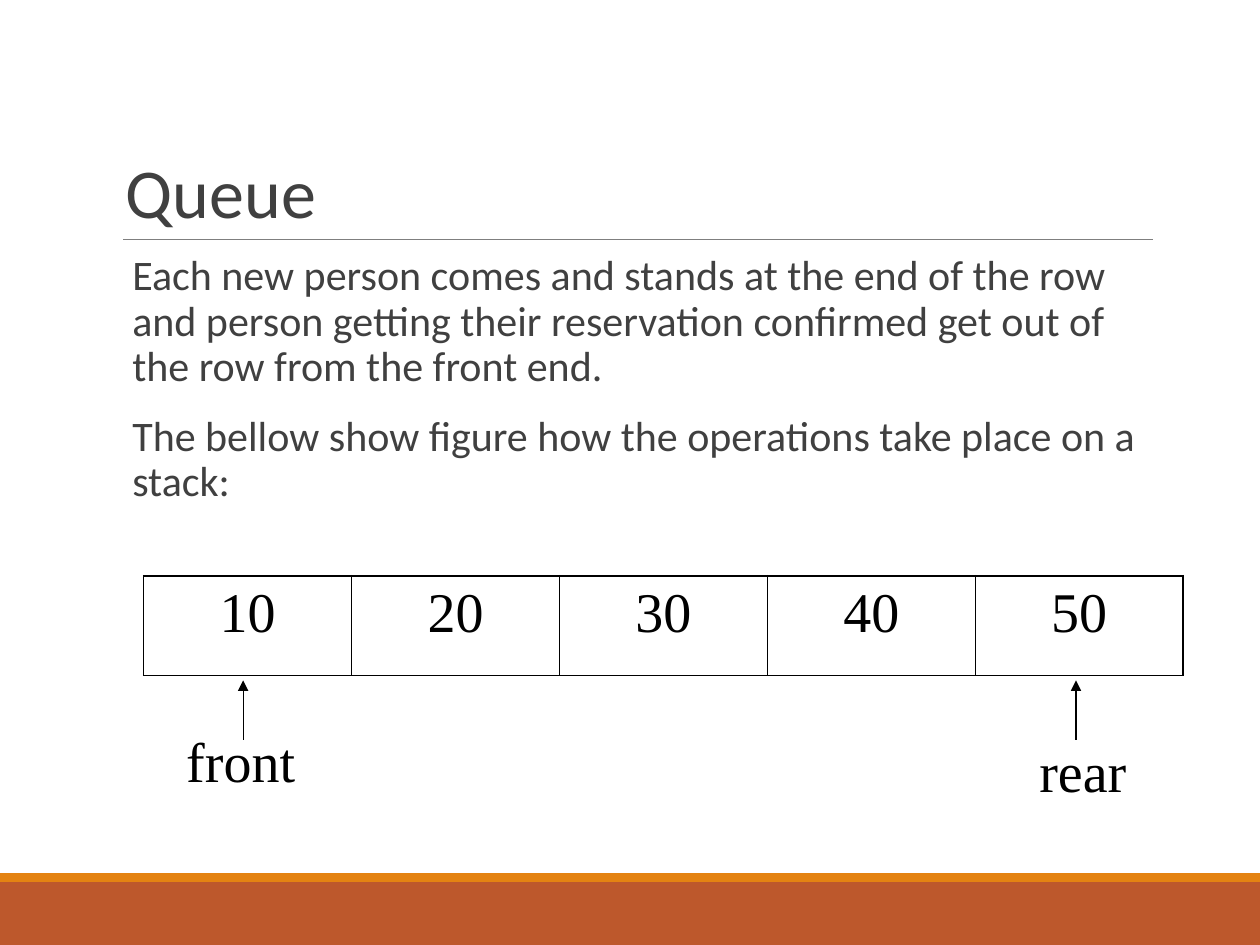
import pptx
import pptx.dml.color
import pptx.enum.shapes
import pptx.enum.text
import pptx.oxml.ns
import pptx.util
from lxml import etree

COLORS = {"band": "BD582C", "stripe": "E48312", "rule": "7F7F7F",
          "text": "404040", "ink": "000000"}
ALIGN = pptx.enum.text.PP_ALIGN
ANCHOR = pptx.enum.text.MSO_ANCHOR
Pt = pptx.util.Pt
qn = pptx.oxml.ns.qn


def color(name):
    return pptx.dml.color.RGBColor.from_string(COLORS[name])


class QueueSlide:
    """Draws on a grid of 100 columns by 75 rows."""
    HEADING = {"name": "Calibri", "size": Pt(40), "color": "text"}
    BODY = {"name": "Calibri", "size": Pt(24), "color": "text"}
    FIGURE = {"name": "Times New Roman", "size": Pt(32), "color": "ink"}
    COLUMNS, ROWS = 100, 75

    def __init__(self, deck):
        self.column = deck.slide_width / self.COLUMNS
        self.row = deck.slide_height / self.ROWS
        self.slide = deck.slides.add_slide(deck.slide_layouts[6])

    def x(self, columns):
        return round(columns * self.column)

    def y(self, rows):
        return round(rows * self.row)

    def box(self, left, top, width, height):
        return self.x(left), self.y(top), self.x(width), self.y(height)

    def fill_text(self, frame, paragraphs, font, layout):
        frame.text = "\n".join(paragraphs)
        for paragraph in frame.paragraphs:
            for key, value in layout.items():
                setattr(paragraph, key, value)
            for run in paragraph.runs:
                for key, value in font.items():
                    if key == "color":
                        run.font.color.rgb = color(value)
                    else:
                        setattr(run.font, key, value)

    def band(self, place, fill):
        band = self.slide.shapes.add_shape(
            pptx.enum.shapes.MSO_SHAPE.RECTANGLE, *self.box(*place))
        band.shadow.inherit = False
        band.fill.solid()
        band.fill.fore_color.rgb = color(fill)
        band.line.fill.background()

    def line(self, start, end, stroke, width, arrow=False):
        line = self.slide.shapes.add_connector(
            pptx.enum.shapes.MSO_CONNECTOR.STRAIGHT,
            self.x(start[0]), self.y(start[1]), self.x(end[0]), self.y(end[1]))
        line.line.color.rgb = color(stroke)
        line.line.width = Pt(width)
        properties = line.line._get_or_add_ln()
        if arrow:
            etree.SubElement(properties, qn("a:tailEnd"), type="triangle")
        etree.SubElement(properties.getparent(), qn("a:effectLst"))

    def text(self, place, paragraphs, font, layout, inset=1, anchor=ANCHOR.TOP, wrap=True):
        frame = self.slide.shapes.add_textbox(*self.box(*place)).text_frame
        settings = {"word_wrap": wrap, "vertical_anchor": anchor,
                    "margin_left": self.x(inset), "margin_right": self.x(inset)}
        for key, value in settings.items():
            setattr(frame, key, value)
        self.fill_text(frame, paragraphs, font, layout)
        return frame

    def border(self, cell, side, width):
        edge = etree.SubElement(cell._tc.get_or_add_tcPr(), qn(f"a:ln{side}"), w=str(Pt(width)))
        fill = etree.SubElement(edge, qn("a:solidFill"))
        etree.SubElement(fill, qn("a:srgbClr"), val=COLORS["ink"])

    def table(self, place, values, outer=1.08, inner=0.45):
        table = self.slide.shapes.add_table(1, len(values), *self.box(*place)).table
        table.first_row = table.horz_banding = False
        last = len(values) - 1
        for index, value in enumerate(values):
            cell = table.cell(0, index)
            edges = {"L": inner if index else outer,
                     "R": inner if index < last else outer, "T": outer, "B": outer}
            for side, width in edges.items():
                self.border(cell, side, width)
            cell.fill.background()
            cell.margin_left = cell.margin_right = self.x(1.9)
            self.fill_text(cell.text_frame, [value], self.FIGURE,
                           {"alignment": ALIGN.CENTER, "space_before": Pt(8)})


def main():
    deck = pptx.Presentation()
    deck.slide_width, deck.slide_height = pptx.util.Inches(10), pptx.util.Inches(7.5)
    queue = QueueSlide(deck)

    # Footer bands and the rule below the heading
    queue.band((0, 70, 100, 5), "band")
    queue.band((0, 69.3, 100, 0.7), "stripe")
    queue.line((9.8, 19), (91.5, 19), "rule", 0.5)

    # Heading and explanation
    queue.text((9, 3.1, 82.5, 15.9), ["Queue"], queue.HEADING,
               {"line_spacing": 0.85}, anchor=ANCHOR.BOTTOM)
    explanation = queue.text(
        (9.5, 19.7, 81.9, 35.1),
        ["Each new person comes and stands at the end of the row and person getting "
         "their reservation confirmed get out of the row from the front end.",
         "The bellow show figure how the operations take place on a stack:"],
        queue.BODY,
        {"line_spacing": 0.9, "space_before": Pt(12), "space_after": Pt(2)}, inset=0)
    for paragraph in explanation.paragraphs:
        paragraph._p.get_or_add_pPr().set("marL", str(queue.x(1)))

    # Queue cells
    queue.table((11.4, 45.7, 82.5, 7.9), ["10", "20", "30", "40", "50"])

    # Pointers to both ends of the queue
    for name, arrow_x, place in (("front", 19.3, (13.8, 57.2, 11, 6.4)),
                                 ("rear", 85.4, (81.5, 58, 9.4, 6.4))):
        queue.line((arrow_x, 58.7), (arrow_x, 54), "ink", 0.75, arrow=True)
        queue.text(place, [name], queue.FIGURE, {"space_before": Pt(20)}, wrap=False)

    deck.save("out.pptx")


if __name__ == "__main__":
    main()
